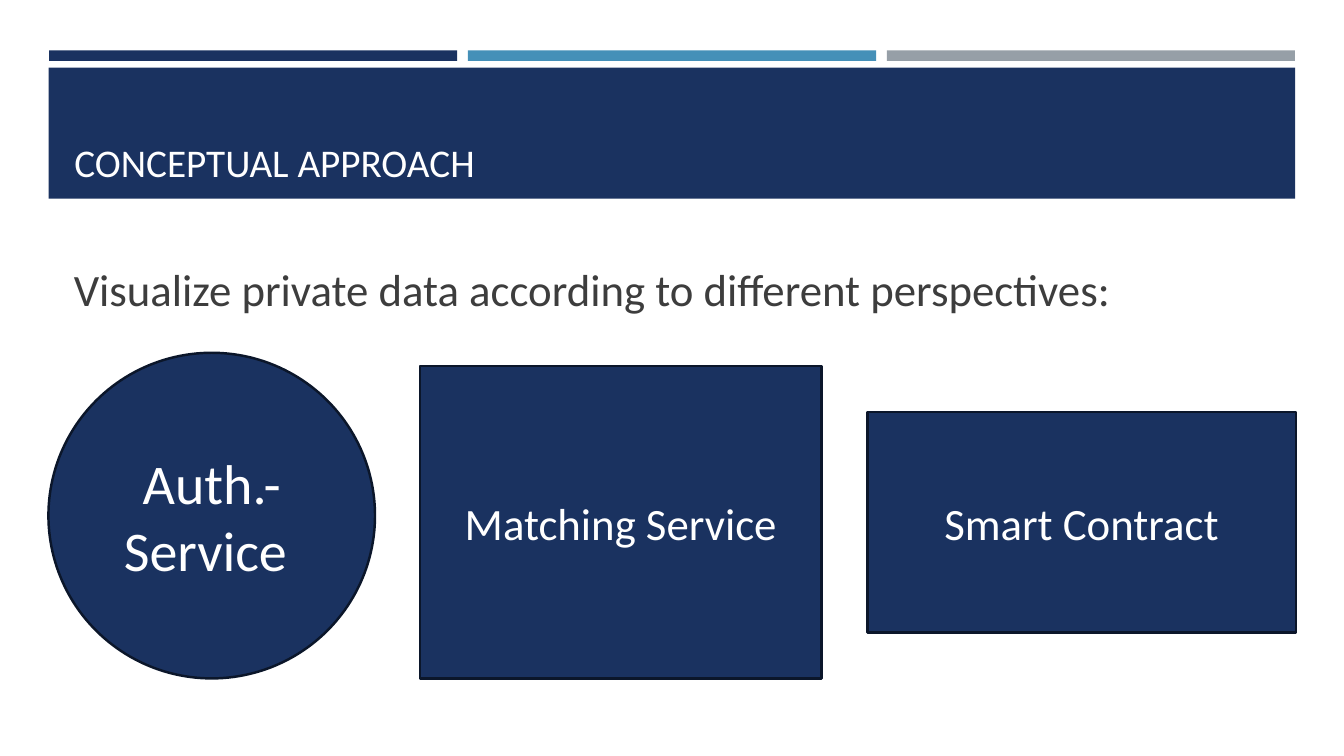
from pptx import Presentation
from pptx.dml.color import RGBColor
from pptx.enum.shapes import MSO_SHAPE
from pptx.enum.text import MSO_ANCHOR, MSO_AUTO_SIZE, PP_ALIGN
from pptx.oxml.ns import qn
from pptx.util import Pt

NAVY, BLUE, GREY = "1A3260", "4590B8", "969FA7"
WHITE, CHARCOAL, OUTLINE = "FFFFFF", "3D3D3D", "0B162A"


def add_block(kind, left, top, width, height, fill):
    block = slide.shapes.add_shape(kind, Pt(left), Pt(top), Pt(width), Pt(height))
    block.shadow.inherit = False
    block.fill.solid()
    block.fill.fore_color.rgb = RGBColor.from_string(fill)
    block.line.fill.background()
    return block


def write(shape, text, size, color, align, anchor):
    frame = shape.text_frame
    frame.text = text
    frame.word_wrap = True
    frame.auto_size = MSO_AUTO_SIZE.NONE
    frame.vertical_anchor = anchor
    for paragraph in frame.paragraphs:
        paragraph.alignment = align
        paragraph.space_before = Pt(0)
        for run in paragraph.runs:
            run.font.name = "Calibri"
            run.font.size = Pt(size)
            run.font.color.rgb = RGBColor.from_string(color)


presentation = Presentation()
presentation.slide_width, presentation.slide_height = Pt(960), Pt(540)
slide = presentation.slides.add_slide(presentation.slide_layouts[1])

# Header: three stripes above a banner, all behind the title
header = [
    add_block(MSO_SHAPE.RECTANGLE, 35 + 299.2 * column, 36, 291.6, 7.5, color)
    for column, color in enumerate([NAVY, BLUE, GREY])
]
header.append(add_block(MSO_SHAPE.RECTANGLE, 34.8, 48.4, 890.4, 93.6, NAVY))
shape_tree = slide.shapes.title.element.getparent()
for position, block in enumerate(header, start=2):
    shape_tree.insert(position, block.element)

title = slide.shapes.title
title.left, title.top, title.width, title.height = Pt(46), Pt(56), Pt(868), Pt(80)
write(title, "CONCEPTUAL APPROACH", 28, WHITE, PP_ALIGN.LEFT, MSO_ANCHOR.BOTTOM)

statement = slide.placeholders[1]
statement.left, statement.top = Pt(45.5), Pt(183)
statement.width, statement.height = Pt(891), Pt(312)
write(statement, "Visualize private data according to different perspectives:",
      32, CHARCOAL, PP_ALIGN.LEFT, MSO_ANCHOR.TOP)
statement_line = statement.text_frame.paragraphs[0]
statement_line.space_after = Pt(6)
properties = statement_line._p.get_or_add_pPr()
properties.set("marL", "0")
properties.set("indent", "0")
properties.append(properties.makeelement(qn("a:buNone"), {}))

perspectives = [
    (MSO_SHAPE.OVAL, 34.6, 252, 233.3, 232.6, "Auth.-\nService ", 40),
    (MSO_SHAPE.RECTANGLE, 300.2, 261.4, 286.6, 223.2, "Matching Service", 32),
    (MSO_SHAPE.RECTANGLE, 619.6, 294.3, 306, 157.5, "Smart Contract", 32),
]
for kind, left, top, width, height, label, size in perspectives:
    perspective = add_block(kind, left, top, width, height, NAVY)
    perspective.line.color.rgb = RGBColor.from_string(OUTLINE)
    perspective.line.width = Pt(1.75)
    write(perspective, label, size, WHITE, PP_ALIGN.CENTER, MSO_ANCHOR.MIDDLE)

presentation.save("out.pptx")
